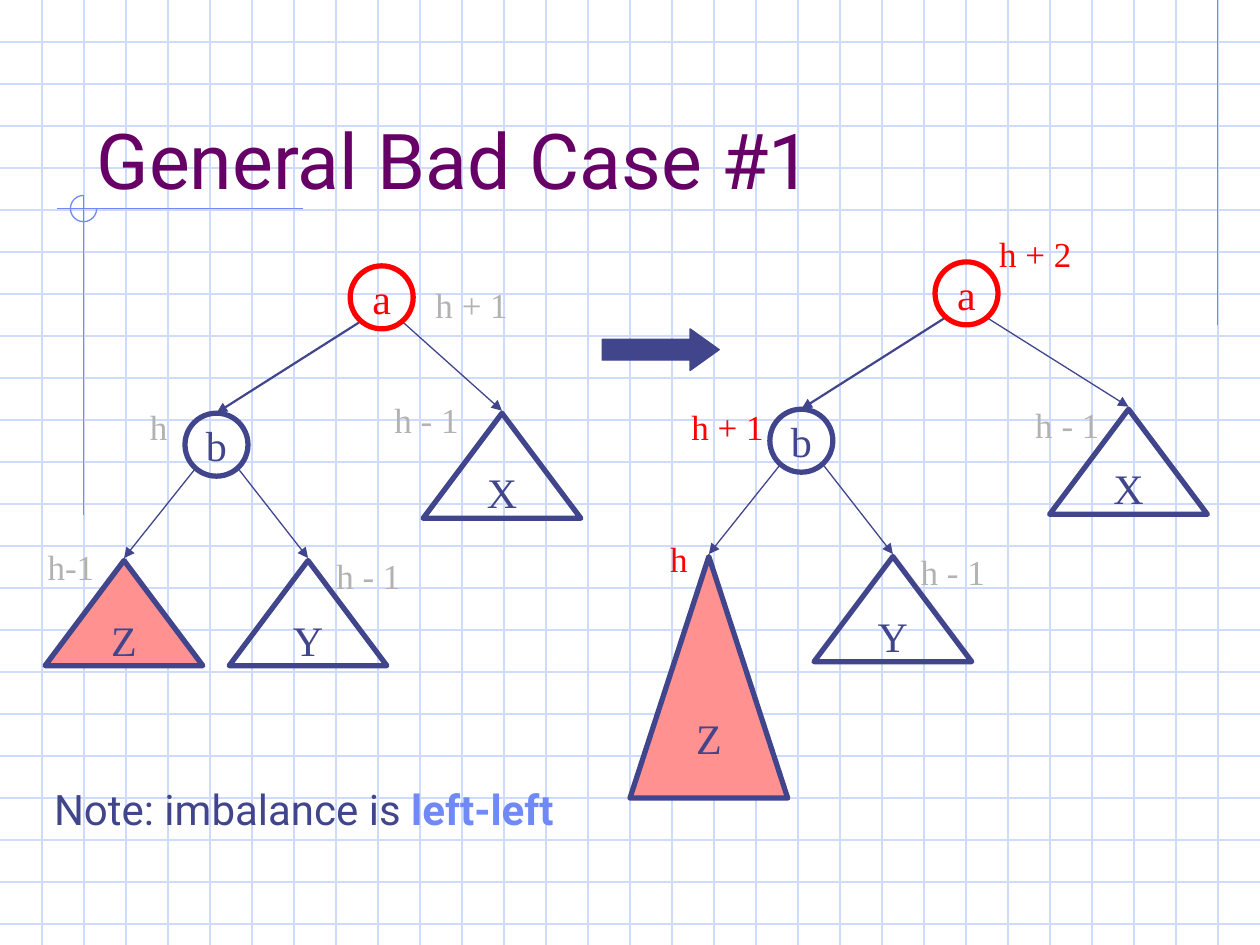
from lxml import etree
from pptx import Presentation
from pptx.dml.color import RGBColor
from pptx.enum.shapes import MSO_CONNECTOR, MSO_SHAPE
from pptx.enum.text import MSO_ANCHOR, PP_ALIGN
from pptx.oxml.ns import qn
from pptx.util import Cm, Pt

STRAIGHT = MSO_CONNECTOR.STRAIGHT
ELLIPSE = MSO_SHAPE.OVAL
TRIANGLE = MSO_SHAPE.ISOSCELES_TRIANGLE
ARROW = MSO_SHAPE.RIGHT_ARROW
ARC = MSO_SHAPE.ARC
MIDDLE, BOTTOM = MSO_ANCHOR.MIDDLE, MSO_ANCHOR.BOTTOM
CENTER = PP_ALIGN.CENTER

COLORS = {
    "grid": "CFDBFD",
    "accent": "6F89F7",
    "navy": "40458C",
    "red": "FF0000",
    "pink": "FF9191",
    "gray": "B2B2B2",
    "purple": "660066",
}
RGB = {name: RGBColor.from_string(value) for name, value in COLORS.items()}

prs = Presentation()
prs.slide_width, prs.slide_height = Cm(25.4), Cm(19.05)
s = prs.slides.add_slide(prs.slide_layouts[6])


def add_line(x1, y1, x2, y2, color, width=0.75, head=False):
    c = s.shapes.add_connector(STRAIGHT, Cm(x1), Cm(y1), Cm(x2), Cm(y2))
    c.line.color.rgb = RGB[color]
    c.line.width = Pt(width)
    if head:
        ln = c.line._get_or_add_ln()
        etree.SubElement(ln, qn("a:tailEnd"), type="triangle")
    etree.SubElement(c._element.spPr, qn("a:effectLst"))


def format_run(r, font, size, color):
    r.font.name = font
    r.font.size = Pt(size)
    r.font.color.rgb = RGB[color]


step = 2.54 / 3
for i in range(1, 23):
    add_line(0, i * step, 25.4, i * step, "grid")
for i in range(1, 30):
    add_line(i * step, 0, i * step, 19.05, "grid")

add_line(24.55, 0, 24.55, 6.55, "accent")
add_line(6.1, 4.2, 1.14, 4.2, "accent")
add_line(1.69, 3.94, 1.69, 10.39, "accent")
sp = s.shapes.add_shape(ARC, Cm(1.42), Cm(3.94), Cm(0.53), Cm(0.53))
sp.adjustments[0], sp.adjustments[1] = 0, 162
sp.shadow.inherit = False
sp.fill.background()
sp.line.color.rgb = RGB["accent"]
sp.line.width = Pt(0.75)

sp = s.shapes.add_textbox(Cm(1.7), Cm(1.07), Cm(21.59), Cm(3.18))
tf = sp.text_frame
tf.word_wrap = True
tf.vertical_anchor = BOTTOM
tf.text = "General Bad Case #1"
format_run(tf.paragraphs[0].runs[0], "Roboto", 44, "purple")

sp = s.shapes.add_shape(ARROW, Cm(12.14), Cm(6.63), Cm(2.36), Cm(0.84))
sp.adjustments[1] = 0.7
sp.shadow.inherit = False
sp.fill.solid()
sp.fill.fore_color.rgb = RGB["navy"]
sp.line.color.rgb = RGB["navy"]
sp.line.width = Pt(0.75)

trees = [
    (18.85, 5.28, 2.31, 4.87),
    (7.06, 5.36, 1.47, 2.12),
]
for left, top, x_offset, z_height in trees:
    edges = [
        (0.18, 1.14, -2.69, 2.96, 1.25),
        (1.07, 1.14, x_offset + 1.59, 2.92, 0.75),
        (-2.24, 4.11, -0.85, 5.89, 0.75),
        (-3.14, 4.11, -4.56, 5.89, 0.75),
    ]
    for x1, y1, x2, y2, width in edges:
        add_line(left + x1, top + y1, left + x2, top + y2, "navy", width, True)

    nodes = [
        ("a", ELLIPSE, 0, 0, 1.27, 1.27, "red", None),
        ("b", ELLIPSE, -3.33, 2.97, 1.27, 1.27, "navy", None),
        ("X", TRIANGLE, x_offset, 2.97, 3.18, 2.12, "navy", None),
        ("Y", TRIANGLE, -2.44, 5.94, 3.18, 2.12, "navy", None),
        ("Z", TRIANGLE, -6.15, 5.94, 3.18, z_height, "navy", "pink"),
    ]
    for text, kind, x, y, w, h, color, fill in nodes:
        sp = s.shapes.add_shape(kind, Cm(left + x), Cm(top + y), Cm(w), Cm(h))
        sp.shadow.inherit = False
        if fill:
            sp.fill.solid()
            sp.fill.fore_color.rgb = RGB[fill]
        else:
            sp.fill.background()
        sp.line.color.rgb = RGB[color]
        sp.line.width = Pt(3)
        tf = sp.text_frame
        tf.word_wrap = False
        tf.vertical_anchor = MIDDLE
        tf.text = text
        p = tf.paragraphs[0]
        p.alignment = CENTER
        format_run(p.runs[0], "Times New Roman", 24, color)

widths = {"h": 0.86, "h-1": 1.45, "h - 1": 1.8, "h + 1": 1.96, "h + 2": 1.96}
heights = [
    ("h", 13.26, 10.72, "red"),
    ("h - 1", 18.31, 10.97, "gray"),
    ("h + 1", 13.69, 8.05, "red"),
    ("h - 1", 20.62, 8, "gray"),
    ("h + 2", 19.89, 4.57, "red"),
    ("h-1", 0.71, 10.87, "gray"),
    ("h - 1", 6.53, 11.05, "gray"),
    ("h", 2.77, 8.05, "gray"),
    ("h - 1", 7.7, 7.9, "gray"),
    ("h + 1", 8.53, 5.59, "gray"),
]
for text, x, y, color in heights:
    sp = s.shapes.add_textbox(Cm(x), Cm(y), Cm(widths[text]), Cm(1.12))
    tf = sp.text_frame
    tf.word_wrap = False
    tf.text = text
    format_run(tf.paragraphs[0].runs[0], "Times New Roman", 20, color)

sp = s.shapes.add_textbox(Cm(0.84), Cm(15.67), Cm(11.63), Cm(1.27))
tf = sp.text_frame
tf.word_wrap = True
p = tf.paragraphs[0]
for text, color, bold in [("Note: imbalance is ", "navy", False), ("left-left", "accent", True)]:
    r = p.add_run()
    r.text = text
    r.font.bold = bold
    format_run(r, "Roboto", 24, color)

prs.save("out.pptx")
